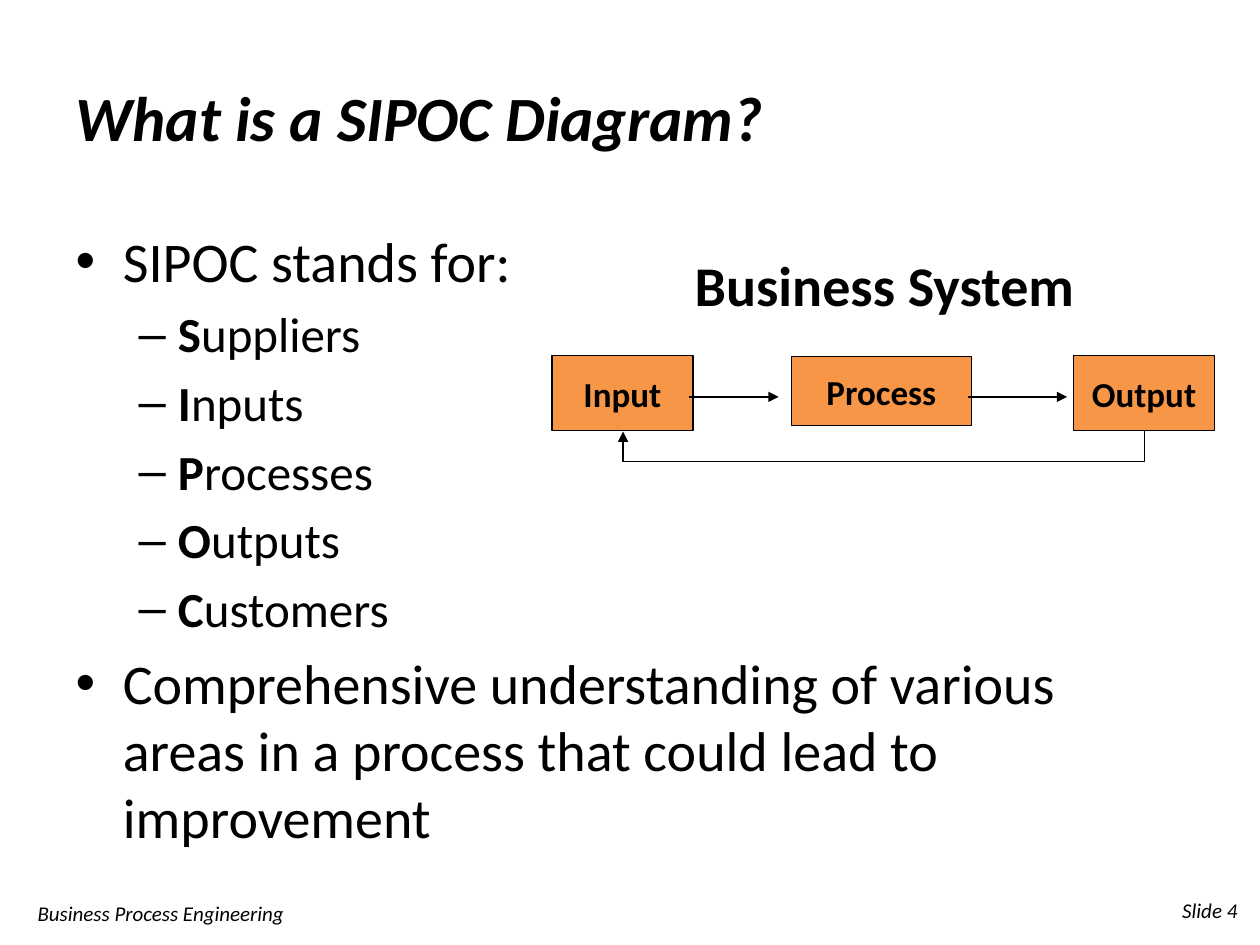
from typing import NamedTuple

from lxml.etree import SubElement
from pptx import Presentation
from pptx.dml.color import RGBColor
from pptx.enum.shapes import MSO_CONNECTOR as Link, MSO_SHAPE as Shape
from pptx.enum.text import MSO_ANCHOR as Anchor, MSO_AUTO_SIZE as Fit, PP_ALIGN as Align
from pptx.oxml.ns import qn
from pptx.util import Inches, Pt

COLORS = {"ink": "000000", "box": "F79646"}
FONT = "Calibri"


class Area(NamedTuple):
    left: float
    top: float
    width: float
    height: float

    def lengths(self) -> list:
        return [Inches(value) for value in self]


class Step(NamedTuple):
    label: str
    area: Area


class Arrow(NamedTuple):
    start: float
    end: float


STEPS = [
    Step("Input", Area(4.38, 2.82, 1.12, 0.6)),
    Step("Process", Area(6.28, 2.83, 1.43, 0.55)),
    Step("Output", Area(8.52, 2.82, 1.12, 0.6)),
]
ARROWS = [Arrow(5.47, 6.18), Arrow(7.68, 8.47)]
ARROW_Y = 3.15
LETTERS = ["Suppliers", "Inputs", "Processes", "Outputs", "Customers"]


def color(name: str) -> RGBColor:
    return RGBColor.from_string(COLORS[name])


def add_span(para, text: str, size: float, bold: bool = False, italic: bool = False) -> None:
    span = para.add_run()
    span.text = text
    font = span.font
    font.name, font.size, font.bold, font.italic = FONT, Pt(size), bold, italic
    font.color.rgb = color("ink")


def place(shape, area: Area) -> None:
    shape.left, shape.top, shape.width, shape.height = area.lengths()


def add_label(page, text: str, area: Area, size: float, align: Align, wrap: bool = True,
              anchor: Anchor = Anchor.MIDDLE, bold: bool = False, italic: bool = False) -> None:
    frame = page.shapes.add_textbox(*area.lengths()).text_frame
    frame.word_wrap = wrap
    frame.vertical_anchor = anchor
    frame.paragraphs[0].alignment = align
    add_span(frame.paragraphs[0], text, size, bold, italic)


def add_step(page, step: Step) -> None:
    box = page.shapes.add_shape(Shape.RECTANGLE, *step.area.lengths())
    box.shadow.inherit = False
    box.fill.solid()
    box.fill.fore_color.rgb = color("box")
    box.line.color.rgb = color("ink")
    box.line.width = Pt(0.75)
    frame = box.text_frame
    frame.word_wrap = False
    frame.vertical_anchor = Anchor.MIDDLE
    frame.paragraphs[0].alignment = Align.CENTER
    add_span(frame.paragraphs[0], step.label, 20, bold=True)


def add_arrow(page, kind: Link, x1: float, y1: float, x2: float, y2: float):
    arrow = page.shapes.add_connector(kind, *map(Inches, (x1, y1, x2, y2)))
    arrow.line.color.rgb = color("ink")
    arrow.line.width = Pt(0.75)
    SubElement(arrow.line._get_or_add_ln(), qn("a:tailEnd"), type="triangle")
    SubElement(arrow._element.spPr, qn("a:effectLst"))
    return arrow


def add_feedback(page) -> None:
    """Lead the output back to the input, dipping a quarter inch below the boxes."""
    width, dip = 0.01, 0.25
    arrow = add_arrow(page, Link.ELBOW, 7.01, 1.35, 7.01 + width, 5.49)
    properties = arrow._element.spPr
    properties.find(qn("a:xfrm")).set("rot", str(90 * 60000))
    geometry = properties.find(qn("a:prstGeom"))
    guides = geometry.find(qn("a:avLst"))
    if guides is None:
        guides = SubElement(geometry, qn("a:avLst"))
    SubElement(guides, qn("a:gd"), name="adj1", fmla=f"val {round(dip / width * 100000)}")


def fill_title(page) -> None:
    title = page.shapes.title
    place(title, Area(0.5, 0.3, 9, 1.25))
    title.text_frame.auto_size = Fit.NONE
    title.text_frame.vertical_anchor = Anchor.MIDDLE
    para = title.text_frame.paragraphs[0]
    para.alignment = Align.LEFT
    add_span(para, "What is a SIPOC Diagram?", 36, bold=True, italic=True)


def fill_body(page) -> None:
    body = page.placeholders[1]
    place(body, Area(0.5, 1.75, 9, 4.95))
    frame = body.text_frame
    frame.auto_size = Fit.NONE
    add_span(frame.paragraphs[0], "SIPOC stands for:", 32)
    for word in LETTERS:
        para = frame.add_paragraph()
        para.level = 1
        add_span(para, word[0], 28, bold=True)
        add_span(para, word[1:], 28)
    add_span(frame.add_paragraph(), "Comprehensive understanding of various areas "
             "in a process that could lead to improvement", 32)


def main() -> None:
    deck = Presentation()
    deck.slide_width, deck.slide_height = Inches(10), Inches(7.5)
    page = deck.slides.add_slide(deck.slide_layouts[1])
    add_label(page, "Business Process Engineering", Area(0.2, 7.05, 2.33, 0.4), 12,
              Align.LEFT, italic=True)
    add_label(page, "Slide 4", Area(7.59, 7.02, 2.33, 0.4), 12, Align.RIGHT, italic=True)
    fill_title(page)
    fill_body(page)
    for step in STEPS:
        add_step(page, step)
    for arrow in ARROWS:
        add_arrow(page, Link.STRAIGHT, arrow.start, ARROW_Y, arrow.end, ARROW_Y)
    add_label(page, "Business System", Area(5.4, 1.94, 3.24, 0.64), 32, Align.CENTER,
              wrap=False, anchor=Anchor.TOP, bold=True)
    add_feedback(page)
    deck.save("out.pptx")


if __name__ == "__main__":
    main()
